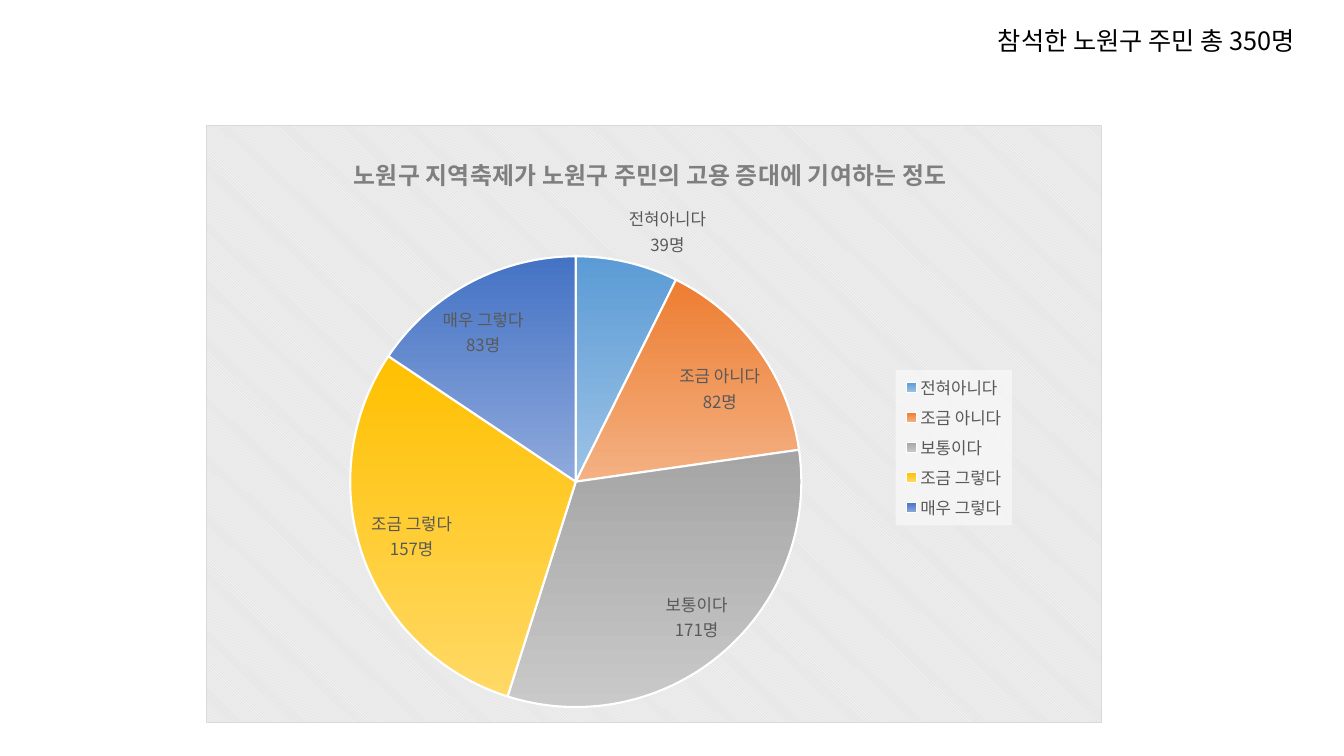
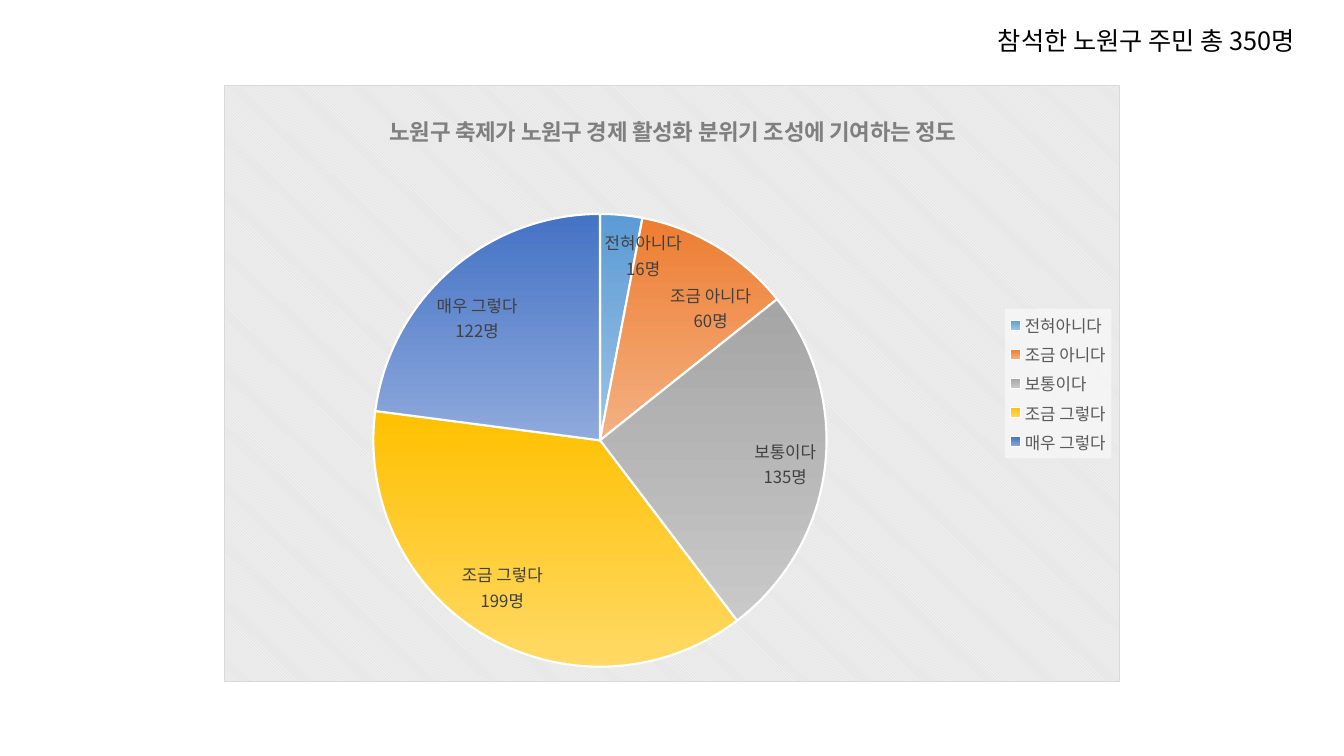
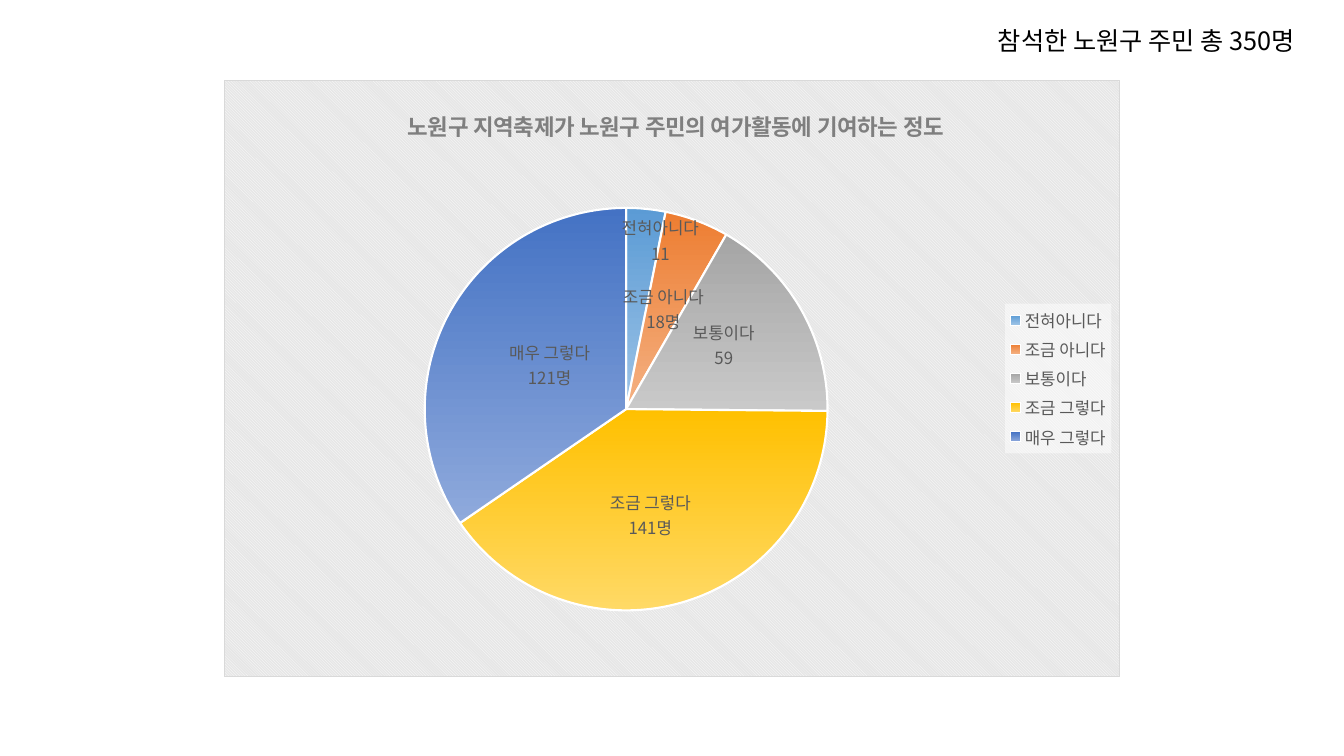
"""Three survey slides, each with a pie chart about the Nowon festivals."""
from dataclasses import dataclass
from math import cos, pi, sin

from pptx import Presentation
from pptx.chart.data import CategoryChartData
from pptx.dml.color import RGBColor
from pptx.enum.chart import XL_CHART_TYPE as ChartType
from pptx.enum.chart import XL_LABEL_POSITION as LabelPosition
from pptx.enum.chart import XL_LEGEND_POSITION as LegendPosition
from pptx.enum.text import MSO_AUTO_SIZE as AutoSize
from pptx.oxml import parse_xml
from pptx.oxml.ns import nsdecls, qn
from pptx.util import Inches, Pt

FONT = "Noto Sans CJK KR"
BLACK = RGBColor(0x00, 0x00, 0x00)
WHITE = RGBColor(0xFF, 0xFF, 0xFF)
TITLE_GRAY = RGBColor(0x7F, 0x7F, 0x7F)
TEXT_GRAY = RGBColor(0x59, 0x59, 0x59)
DARK_GRAY = RGBColor(0x40, 0x40, 0x40)
STRIPE_GRAY = RGBColor(0xE6, 0xE6, 0xE6)
BORDER_GRAY = RGBColor(0xD9, 0xD9, 0xD9)
SLICE_COLORS = [
    (RGBColor(0x5B, 0x9B, 0xD5), RGBColor(0x9D, 0xC3, 0xE6)),
    (RGBColor(0xED, 0x7D, 0x31), RGBColor(0xF4, 0xB1, 0x83)),
    (RGBColor(0xA5, 0xA5, 0xA5), RGBColor(0xC9, 0xC9, 0xC9)),
    (RGBColor(0xFF, 0xC0, 0x00), RGBColor(0xFF, 0xD9, 0x66)),
    (RGBColor(0x44, 0x72, 0xC4), RGBColor(0x8F, 0xAA, 0xDC)),
]
ANSWERS = ["전혀아니다", "조금 아니다", "보통이다", "조금 그렇다", "매우 그렇다"]
ATTENDANCE = "참석한 노원구 주민 총 350명"
CHART_WIDTH, CHART_HEIGHT = 8.89, 5.93


@dataclass
class Survey:
    """One question: its answers and where the parts stand on the slide."""
    title: str
    title_size: int
    title_left: float
    counts: list
    corner: tuple
    pie_center: tuple
    pie_radius: float
    label_centers: list
    label_color: RGBColor = TEXT_GRAY
    plain_labels: tuple = ()
    leader_lines: bool = False
    legend_box: tuple = ()


SURVEYS = [
    Survey(
        "노원구 지역축제가 노원구 주민의 고용 증대에 기여하는 정도", 17, 0.16,
        [39, 82, 171, 157, 83], (2.04, 1.24), (5.71, 4.78), 2.24,
        [(6.62, 2.29), (7.14, 3.85), (6.91, 6.12), (4.08, 5.32), (4.79, 3.29)],
        legend_box=(0.77, 0.41, 0.13, 0.26),
    ),
    Survey(
        "노원구 축제가 노원구 경제 활성화 분위기 조성에 기여하는 정도", 16, 0.18,
        [16, 60, 135, 199, 122], (2.22, 0.84), (5.95, 4.37), 2.25,
        [(6.38, 2.53), (7.05, 3.05), (7.79, 4.6), (4.98, 5.83), (4.73, 3.15)],
        label_color=DARK_GRAY, leader_lines=True,
    ),
    Survey(
        "노원구 지역축제가 노원구 주민의 여가활동에 기여하는 정도", 16, 0.2,
        [11, 18, 59, 141, 121], (2.22, 0.79), (6.21, 4.06), 2,
        [(6.55, 2.38), (6.58, 3.06), (7.18, 3.42), (6.45, 5.11), (5.45, 3.62)],
        plain_labels=(0, 2),
    ),
]


def style_font(font, size, color, bold=False):
    """Apply the shared typeface with a size and colour."""
    font.name = FONT
    font.size = Pt(size)
    font.color.rgb = color
    font.bold = bold


def add_east_asian_font(element):
    """Use the shared typeface for Korean text as well."""
    for latin in list(element.iter(qn("a:latin"))):
        latin.addnext(parse_xml(f'<a:ea {nsdecls("a")} typeface="{FONT}"/>'))


def set_layout(part, index, x, y, size=(), edge=True, inner=False):
    """Give a chart part a manual layout in fractions of the chart."""
    for old_layout in part.findall(qn("c:layout")):
        part.remove(old_layout)
    settings = [("layoutTarget", "inner")] if inner else []
    if edge:
        settings += [("xMode", "edge"), ("yMode", "edge")]
    settings += [("x", x), ("y", y), *zip("wh", size)]
    items = "".join(f'<c:{tag} val="{value}"/>' for tag, value in settings)
    part.insert(index, parse_xml(
        f'<c:layout {nsdecls("c")}><c:manualLayout>{items}</c:manualLayout></c:layout>'))


def add_attendance(slide):
    """Write the number of attendants at the top right."""
    note = slide.shapes.add_textbox(Inches(9.8), Inches(0.2), Inches(3.5), Inches(0.4))
    note.text_frame.word_wrap = False
    note.text_frame.auto_size = AutoSize.SHAPE_TO_FIT_TEXT
    paragraph = note.text_frame.paragraphs[0]
    paragraph.text = ATTENDANCE
    style_font(paragraph.font, 18, BLACK)
    add_east_asian_font(note.element)


def style_title(chart, survey):
    """Write the question above the pie."""
    chart.has_title = True
    paragraph = chart.chart_title.text_frame.paragraphs[0]
    paragraph.text = survey.title
    style_font(paragraph.font, survey.title_size, TITLE_GRAY, bold=True)
    set_layout(chart.element.find(".//" + qn("c:title")), 1, survey.title_left, 0.04)


def style_legend(chart, survey):
    """Put a half transparent legend at the right."""
    chart.has_legend = True
    chart.legend.position = LegendPosition.RIGHT
    chart.legend.include_in_layout = False
    style_font(chart.legend.font, 12, TEXT_GRAY)
    legend = chart.element.find(".//" + qn("c:legend"))
    if survey.legend_box:
        set_layout(legend, 1, *survey.legend_box[:2], size=survey.legend_box[2:])
    legend.find(qn("c:overlay")).addnext(parse_xml(
        f'<c:spPr {nsdecls("c", "a")}><a:solidFill><a:srgbClr val="{WHITE}">'
        '<a:alpha val="50000"/></a:srgbClr></a:solidFill></c:spPr>'))


def style_background(chart):
    """Fill the chart area with faint diagonal stripes."""
    chart.element.find(qn("c:chart")).addnext(parse_xml(
        f'<c:spPr {nsdecls("c", "a")}><a:pattFill prst="dkDnDiag">'
        f'<a:fgClr><a:srgbClr val="{WHITE}"/></a:fgClr>'
        f'<a:bgClr><a:srgbClr val="{STRIPE_GRAY}"/></a:bgClr></a:pattFill>'
        f'<a:ln w="{Pt(0.75)}"><a:solidFill><a:srgbClr val="{BORDER_GRAY}"/>'
        '</a:solidFill></a:ln></c:spPr>'))


def style_slices(series):
    """Give each slice its gradient and a white edge."""
    for index, colors in enumerate(SLICE_COLORS):
        slice_format = series.points[index].format
        slice_format.fill.gradient()
        slice_format.fill.gradient_angle = 270
        for stop, color in zip(slice_format.fill.gradient_stops, colors):
            stop.color.rgb = color
        slice_format.line.color.rgb = WHITE
        slice_format.line.width = Pt(1.5)


def write_labels(series, survey):
    """Label each slice with its answer and count."""
    labels = series.data_labels
    labels.show_value = labels.show_category_name = True
    labels.position = LabelPosition.CENTER
    style_font(labels.font, 12, survey.label_color)
    for index, (answer, count) in enumerate(zip(ANSWERS, survey.counts)):
        label = series.points[index].data_label
        if index in survey.plain_labels:
            style_font(label.font, 12, survey.label_color)
        else:
            label.text_frame.text = f"{answer}\n{count}명"
            for paragraph in label.text_frame.paragraphs:
                style_font(paragraph.runs[0].font, 12, survey.label_color)
        label.position = LabelPosition.CENTER


def place_labels(chart, survey):
    """Move each label from the middle of its slice to its own place."""
    before = 0
    total = sum(survey.counts)
    center_x, center_y = survey.pie_center
    for label, count, (x, y) in zip(
            chart.element.iter(qn("c:dLbl")), survey.counts, survey.label_centers):
        angle = 2 * pi * (before + count / 2) / total
        before += count
        middle_x = center_x + survey.pie_radius / 2 * sin(angle)
        middle_y = center_y - survey.pie_radius / 2 * cos(angle)
        set_layout(label, 1, (x - middle_x) / CHART_WIDTH,
                   (y - middle_y) / CHART_HEIGHT, edge=False)
        label.find(qn("c:showCatName")).set("val", "1")
        label.append(parse_xml(f'<c:separator {nsdecls("c")}>\n</c:separator>'))
    for leader in chart.element.iter(qn("c:showLeaderLines")):
        leader.set("val", str(int(survey.leader_lines)))


def place_pie(chart, survey):
    """Set the pie to its centre and radius."""
    left, top = survey.corner
    center_x, center_y = survey.pie_center
    radius = survey.pie_radius
    set_layout(chart.element.find(".//" + qn("c:plotArea")), 0,
               (center_x - radius - left) / CHART_WIDTH,
               (center_y - radius - top) / CHART_HEIGHT,
               size=(2 * radius / CHART_WIDTH, 2 * radius / CHART_HEIGHT), inner=True)


def add_survey_pie(slide, survey):
    """Draw the pie chart of one survey question."""
    answers = CategoryChartData()
    answers.categories = ANSWERS
    answers.add_series("Series 1", survey.counts)
    chart = slide.shapes.add_chart(
        ChartType.PIE, *map(Inches, survey.corner),
        Inches(CHART_WIDTH), Inches(CHART_HEIGHT), answers).chart
    style_font(chart.font, 10, BLACK)
    style_title(chart, survey)
    style_legend(chart, survey)
    style_background(chart)
    pie = chart.plots[0]
    pie.vary_by_categories = True
    style_slices(pie.series[0])
    write_labels(pie.series[0], survey)
    place_labels(chart, survey)
    place_pie(chart, survey)
    add_east_asian_font(chart.element)


def main():
    """Build the slides and save them."""
    deck = Presentation()
    deck.slide_width, deck.slide_height = Inches(13.33), Inches(7.5)
    for survey in SURVEYS:
        slide = deck.slides.add_slide(deck.slide_layouts[6])
        add_survey_pie(slide, survey)
        add_attendance(slide)
    deck.save("out.pptx")


if __name__ == "__main__":
    main()
